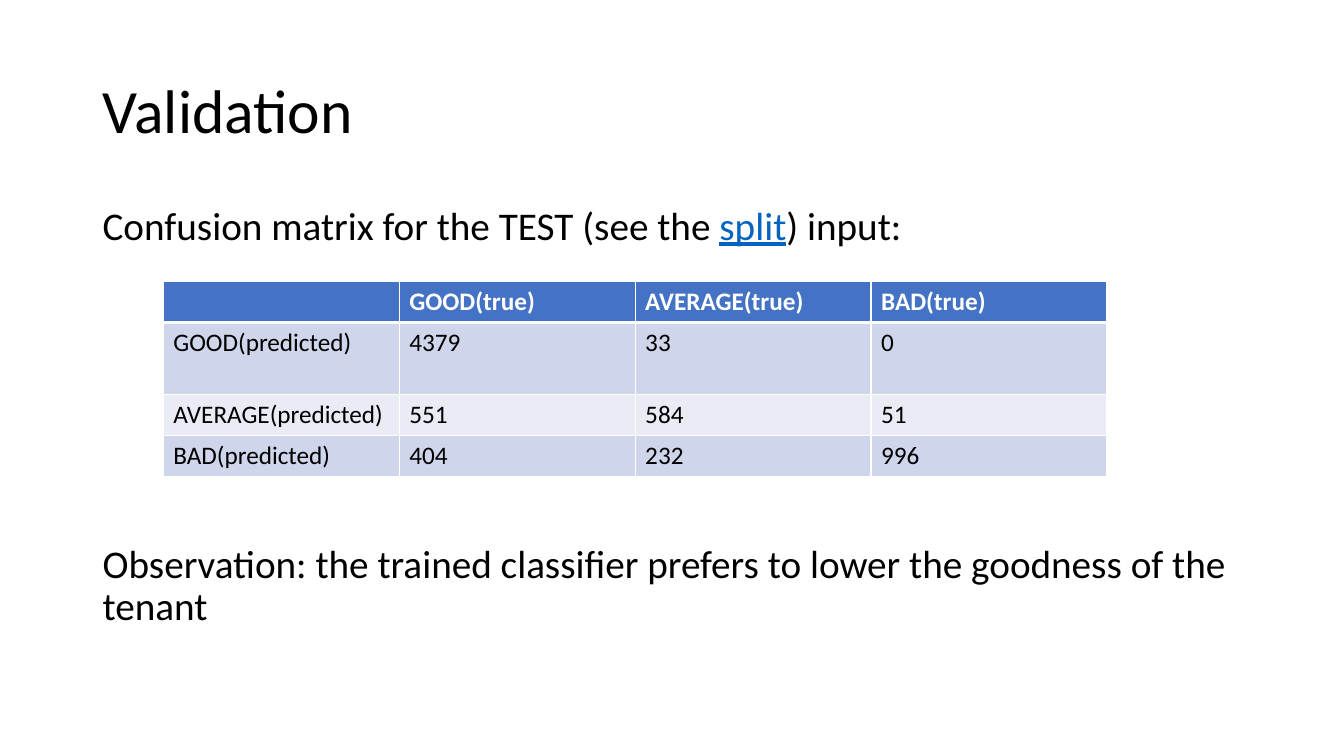
from lxml import etree
from pptx import Presentation
from pptx.dml.color import RGBColor
from pptx.enum.text import MSO_ANCHOR, PP_ALIGN
from pptx.oxml.ns import qn
from pptx.util import Inches, Pt

MIDDLE = MSO_ANCHOR.MIDDLE
LEFT = PP_ALIGN.LEFT
FONT = "Calibri"
BLACK = RGBColor(0x00, 0x00, 0x00)
WHITE = RGBColor(0xFF, 0xFF, 0xFF)
LINK = RGBColor(0x05, 0x63, 0xC1)
HEAD = RGBColor(0x44, 0x72, 0xC4)
BANDS = [RGBColor(0xE9, 0xEB, 0xF5), RGBColor(0xCF, 0xD5, 0xEA)]

TITLE = "Validation"
NOTES = [
    (0, [("Confusion matrix for the TEST (see the ", BLACK),
         ("split", LINK),
         (") input:", BLACK)]),
    (211, [("Observation: the trained classifier prefers to lower "
            "the goodness of the tenant", BLACK)]),
]
MATRIX = [
    ("", "GOOD(true)", "AVERAGE(true)", "BAD(true)"),
    ("GOOD(predicted)", "4379", "33", "0"),
    ("AVERAGE(predicted)", "551", "584", "51"),
    ("BAD(predicted)", "404", "232", "996"),
]
ROWS = [0.41, 0.71, 0.41, 0.41]
COL = 2.34


def add_run(para, text, size, color, bold=False):
    run = para.add_run()
    run.text = text
    font = run.font
    font.name, font.size, font.bold = FONT, Pt(size), bold
    font.color.rgb = color
    return run


def add_edge(cell, side, width):
    props = cell._tc.get_or_add_tcPr()
    line = etree.SubElement(props, qn("a:ln" + side), w=str(Pt(width)))
    fill = etree.SubElement(line, qn("a:solidFill"))
    etree.SubElement(fill, qn("a:srgbClr"), val=str(WHITE))


def add_title(slide):
    title = slide.shapes.title
    title.left, title.top = Inches(0.92), Inches(0.4)
    title.width, title.height = Inches(11.5), Inches(1.45)
    frame = title.text_frame
    frame.vertical_anchor = MIDDLE
    para = frame.paragraphs[0]
    para.alignment = LEFT
    para.line_spacing = 0.9
    add_run(para, TITLE, 44, BLACK)


def add_notes(slide):
    box = slide.shapes.add_textbox(
        Inches(0.92), Inches(2), Inches(11.5), Inches(4.76))
    frame = box.text_frame
    frame.word_wrap = True
    for i, (gap, runs) in enumerate(NOTES):
        para = frame.add_paragraph() if i else frame.paragraphs[0]
        para.line_spacing = 0.9
        para.space_before = Pt(gap)
        for text, color in runs:
            run = add_run(para, text, 28, color)
            run.font.underline = color == LINK


def add_matrix(slide):
    count = len(MATRIX[0])
    table = slide.shapes.add_table(
        len(MATRIX), count, Inches(1.62), Inches(2.79),
        Inches(COL * count), Inches(sum(ROWS))).table
    for col in table.columns:
        col.width = Inches(COL)
    for r, (high, texts) in enumerate(zip(ROWS, MATRIX)):
        table.rows[r].height = Inches(high)
        for c, text in enumerate(texts):
            cell = table.cell(r, c)
            edges = {"L": 1, "R": 1, "T": 3 if r == 1 else 1,
                     "B": 3 if r == 0 else 1}
            for side, width in edges.items():
                add_edge(cell, side, width)
            cell.fill.solid()
            cell.fill.fore_color.rgb = BANDS[r % 2] if r else HEAD
            if text:
                add_run(cell.text_frame.paragraphs[0], text, 18,
                        BLACK if r else WHITE, r == 0)


def main():
    deck = Presentation()
    deck.slide_width, deck.slide_height = Inches(13.33), Inches(7.5)
    slide = deck.slides.add_slide(deck.slide_layouts[5])
    add_title(slide)
    add_notes(slide)
    add_matrix(slide)
    deck.save("out.pptx")


if __name__ == "__main__":
    main()
